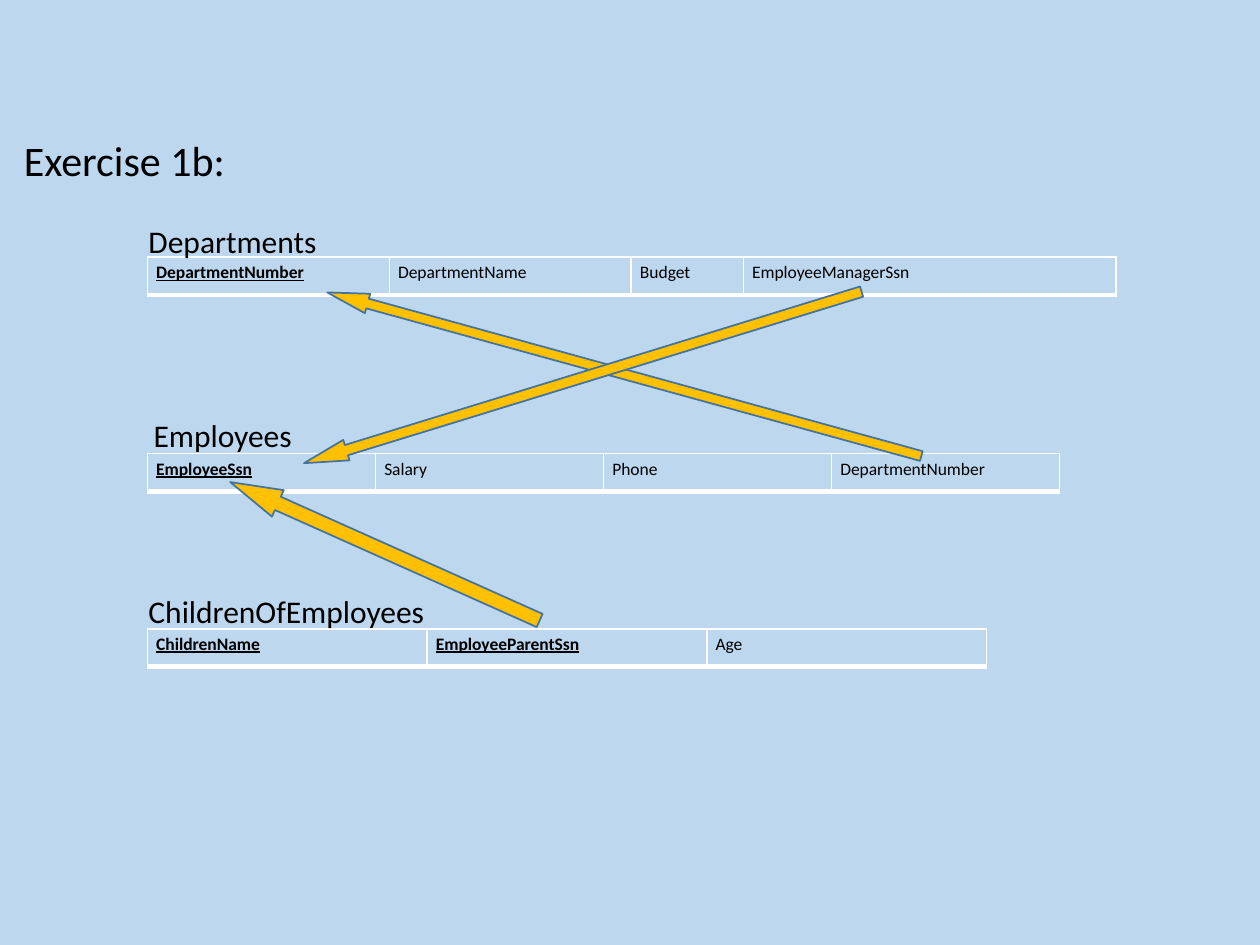
from lxml.etree import SubElement
from pptx import Presentation
from pptx.dml.color import RGBColor
from pptx.enum.shapes import MSO_SHAPE
from pptx.enum.text import MSO_AUTO_SIZE
from pptx.oxml.ns import qn
from pptx.util import Inches, Pt


def color(hex_string):
    return RGBColor.from_string(hex_string)


def add_span(paragraph, text, size, key=False):
    """Add a run; key columns are bold and underlined."""
    span = paragraph.add_run()
    span.text = text
    span.font.name = "Calibri"
    span.font.size = Pt(size)
    span.font.color.rgb = color("000000")
    span.font.bold = key
    span.font.underline = key


deck = Presentation()
deck.slide_width = Inches(10)
deck.slide_height = Inches(7.5)
page = deck.slides.add_slide(deck.slide_layouts[6])
page.background.fill.solid()
page.background.fill.fore_color.rgb = color("BDD7EE")

# Each relation: top, then (column name, width, is key)
relations = [
    (2.04, [("DepartmentNumber", 1.92, True), ("DepartmentName", 1.92, False),
            ("Budget", 0.89, False), ("EmployeeManagerSsn", 2.96, False)]),
    (3.6, [("EmployeeSsn", 1.81, True), ("Salary", 1.81, False),
           ("Phone", 1.81, False), ("DepartmentNumber", 1.81, False)]),
    (4.99, [("ChildrenName", 2.22, True), ("EmployeeParentSsn", 2.22, True),
            ("Age", 2.22, False)]),
]
border_widths = {"a:lnL": 1, "a:lnR": 1, "a:lnT": 1, "a:lnB": 3}

for top, columns in relations:
    total_width = sum(width for _, width, _ in columns)
    table = page.shapes.add_table(1, len(columns), Inches(1.17), Inches(top),
                                  Inches(total_width), Inches(0.3)).table
    table.first_row = False
    table.horz_banding = False
    for index, (name, width, key) in enumerate(columns):
        table.columns[index].width = Inches(width)
        cell = table.cell(0, index)
        cell.margin_left = cell.margin_right = Inches(0.07)
        cell.margin_top = cell.margin_bottom = Inches(0.04)
        properties = cell._tc.get_or_add_tcPr()
        for tag, points in border_widths.items():
            border = SubElement(properties, qn(tag), w=str(Pt(points)))
            border_fill = SubElement(border, qn("a:solidFill"))
            SubElement(border_fill, qn("a:srgbClr"), val="FFFFFF")
        cell.fill.background()
        add_span(cell.text_frame.paragraphs[0], name, 10, key)

# Foreign keys: left, top, width, height, rotation, head length
references = [
    (2.51, 2.89, 4.89, 0.16, 195.4, 2.07),
    (1.71, 4.26, 2.69, 0.23, 204.1, 1.8),
    (2.31, 2.91, 4.63, 0.17, 162.9, 2.07),
]
for left, top, width, height, rotation, head_length in references:
    arrow = page.shapes.add_shape(MSO_SHAPE.RIGHT_ARROW, Inches(left), Inches(top),
                                  Inches(width), Inches(height))
    arrow.rotation = rotation
    arrow.adjustments[0] = 0.5
    arrow.adjustments[1] = head_length
    arrow.shadow.inherit = False
    arrow.fill.solid()
    arrow.fill.fore_color.rgb = color("FFC000")
    arrow.line.color.rgb = color("43739E")
    arrow.line.width = Pt(1)

labels = [
    ("Departments", 1.08, 1.71, 1.55, 0.4, 18),
    ("Employees", 1.12, 3.25, 1.31, 0.4, 18),
    ("ChildrenOfEmployees", 1.08, 4.65, 2.42, 0.4, 18),
    ("Exercise 1b:", 0.09, 1.02, 1.81, 0.5, 24),
]
for text, left, top, width, height, size in labels:
    box = page.shapes.add_textbox(Inches(left), Inches(top), Inches(width), Inches(height))
    box.text_frame.word_wrap = False
    box.text_frame.auto_size = MSO_AUTO_SIZE.SHAPE_TO_FIT_TEXT
    add_span(box.text_frame.paragraphs[0], text, size)

deck.save("out.pptx")
